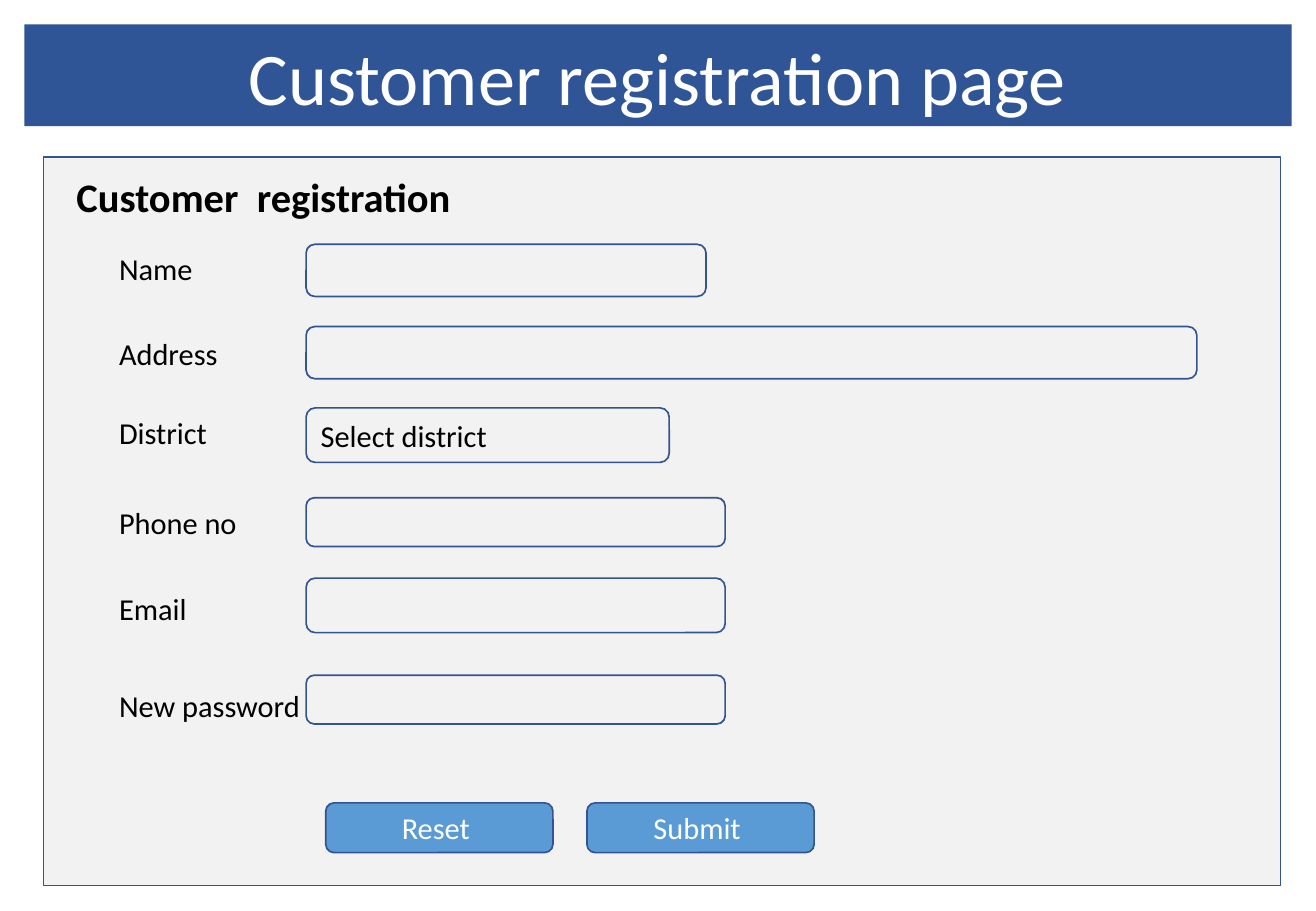
import pptx
import pptx.dml.color
import pptx.enum.shapes
import pptx.enum.text
import pptx.util

Cm = pptx.util.Cm
Align = pptx.enum.text.PP_ALIGN
Anchor = pptx.enum.text.MSO_ANCHOR
Shape = pptx.enum.shapes.MSO_SHAPE

COLOURS = {
    "banner": "2F5597",
    "panel": "F2F2F2",
    "outline": "325491",
    "button": "5B9BD5",
    "ink": "000000",
    "white": "FFFFFF",
}

# label, label top, field top, field width, field height, field text (cm, within the panel)
FIELDS = [
    ("Name", 1.83, 1.83, 8.36, 1.09, ""),
    ("Address", 3.6, 3.55, 18.62, 1.09, ""),
    ("District", 5.25, 5.25, 7.59, 1.14, "Select district"),
    ("Phone no", 7.13, 7.13, 8.76, 1.02, ""),
    ("Email ", 8.94, 8.81, 8.76, 1.14, ""),
    ("New password", 10.97, 10.84, 8.76, 1.02, ""),
]
BUTTONS = ["Reset ", "Submit "]


def colour(name):
    return pptx.dml.color.RGBColor.from_string(COLOURS[name])


def paint(shape, fill):
    shape.fill.solid()
    shape.fill.fore_color.rgb = colour(fill)


def write(shape, text, size, ink="ink", align=Align.LEFT, anchor=Anchor.MIDDLE, bold=False):
    frame = shape.text_frame
    frame.word_wrap = True
    frame.auto_size = pptx.enum.text.MSO_AUTO_SIZE.NONE
    frame.vertical_anchor = anchor
    para = frame.paragraphs[0]
    para.alignment = align
    span = para.add_run()
    span.text = text
    span.font.name = "Calibri"
    span.font.size = pptx.util.Pt(size)
    span.font.bold = bold
    span.font.color.rgb = colour(ink)


def add_outlined(page, kind, left, top, width, height, fill):
    shape = page.shapes.add_shape(kind, left, top, width, height)
    shape.shadow.inherit = False
    paint(shape, fill)
    shape.line.color.rgb = colour("outline")
    shape.line.width = pptx.util.Pt(1)
    return shape


def add_label(page, left, top, width, height, text, size, bold=False):
    box = page.shapes.add_textbox(left, top, width, height)
    write(box, text, size, anchor=Anchor.TOP, bold=bold)


def add_banner(page, left, top, width, height):
    title = page.shapes.title
    title.left, title.top, title.width, title.height = left, top, width, height
    paint(title, "banner")
    write(title, "Customer registration page", 44, "white", Align.CENTER)


def add_fields(page, left, top):
    for label, label_top, field_top, width, height, text in FIELDS:
        add_label(page, left + Cm(1.33), top + Cm(label_top), Cm(4.85), Cm(1.02), label, 18)
        field = add_outlined(page, Shape.ROUNDED_RECTANGLE, left + Cm(5.49),
                             top + Cm(field_top), Cm(width), Cm(height), "panel")
        if text:
            write(field, text, 18)


def add_buttons(page, left, top):
    for index, text in enumerate(BUTTONS):
        button = add_outlined(page, Shape.ROUNDED_RECTANGLE, left + index * Cm(5.46),
                              top, Cm(4.75), Cm(1.04), "button")
        write(button, text, 18, "white", Align.CENTER)


def add_form(page, left, top, width, height):
    add_outlined(page, Shape.RECTANGLE, left, top, width, height, "panel")
    add_label(page, left + Cm(0.44), top + Cm(0.2), Cm(15.42), Cm(1.27),
              "Customer  registration", 24, bold=True)
    add_fields(page, left, top)
    add_buttons(page, left + Cm(5.9), top + Cm(13.51))


def main():
    deck = pptx.Presentation()
    deck.slide_width, deck.slide_height = Cm(27.51), Cm(19.05)
    page = deck.slides.add_slide(deck.slide_layouts.get_by_name("Title Only"))
    add_banner(page, Cm(0.51), Cm(0.51), Cm(26.49), Cm(2.13))
    add_form(page, Cm(0.91), Cm(3.28), Cm(25.86), Cm(15.24))
    deck.save("out.pptx")


if __name__ == "__main__":
    main()
